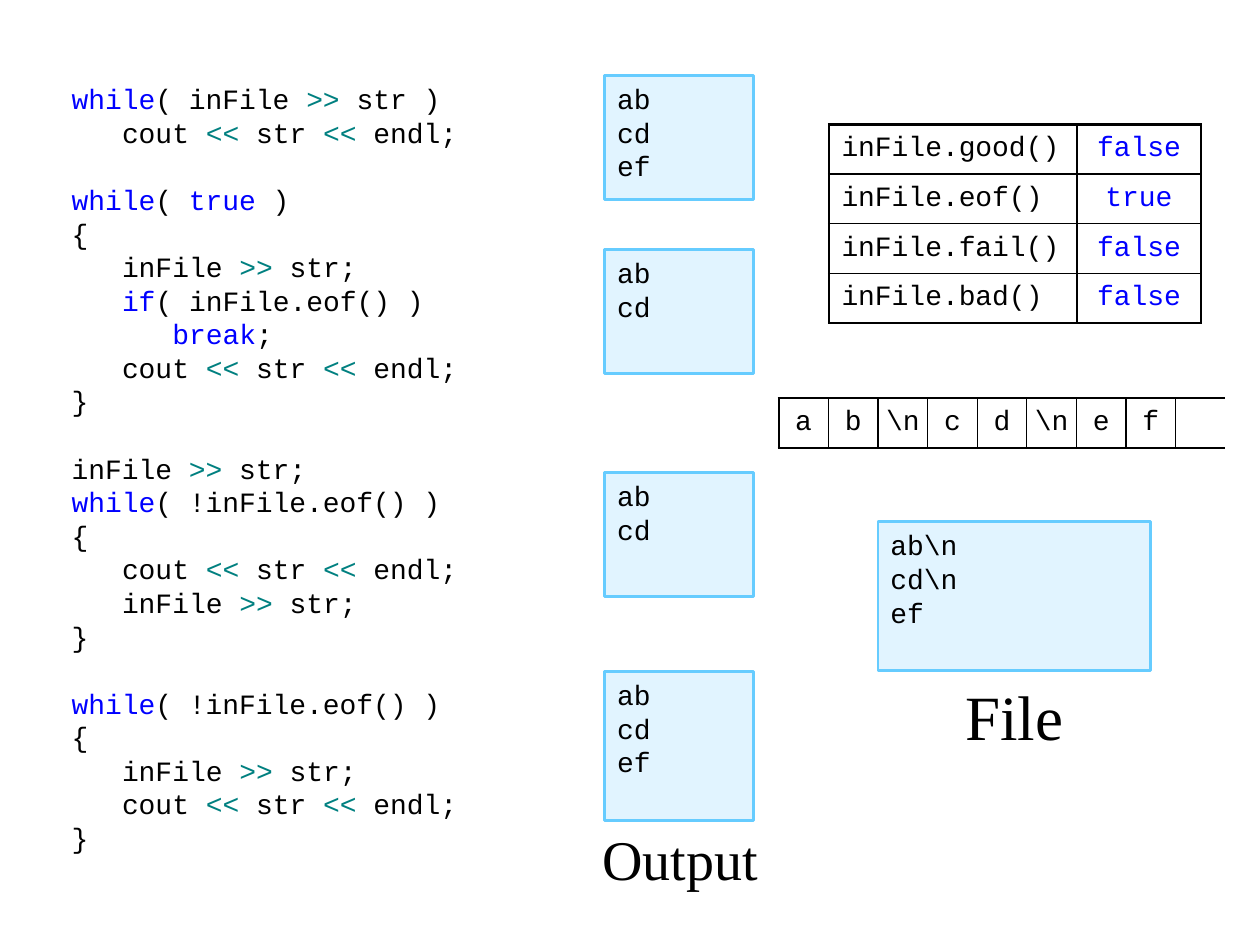
import pptx
import pptx.dml.color
import pptx.enum.shapes
import pptx.enum.text
import pptx.oxml
import pptx.oxml.ns
import pptx.util

Cm = pptx.util.Cm
Pt = pptx.util.Pt
PP_ALIGN = pptx.enum.text.PP_ALIGN
MSO_ANCHOR = pptx.enum.text.MSO_ANCHOR
COLORS = {"text": "000000", "keyword": "0000FF", "operator": "008080",
          "box": "E1F4FF", "box_line": "66CCFF"}
MONO, SERIF = "Courier New", "Times New Roman"
LINE = Pt(19.2)
INDENT = Pt(28.8)


def add_run(p, text, color="text", size=16, font=MONO):
    r = p.add_run()
    r.text = text
    r.font.name = font
    r.font.size = Pt(size)
    r.font.bold = False
    r.font.color.rgb = pptx.dml.color.RGBColor.from_string(COLORS[color])


def format_cell(cell, borders):
    cell.vertical_anchor = MSO_ANCHOR.MIDDLE
    cell.fill.background()
    tcPr = cell._tc.get_or_add_tcPr()
    for i, (side, width) in enumerate(zip("LRTB", borders)):
        fill = f'<a:solidFill><a:srgbClr val="{COLORS["text"]}"/></a:solidFill>' if width else "<a:noFill/>"
        tcPr.insert(i, pptx.oxml.parse_xml(
            f'<a:ln{side} {pptx.oxml.ns.nsdecls("a")} w="{Pt(width)}">{fill}</a:ln{side}>'))


prs = pptx.Presentation()
prs.slide_width, prs.slide_height = Cm(25.4), Cm(19.05)
s = prs.slides.add_slide(prs.slide_layouts[1])
title = s.shapes.title
title.element.getparent().remove(title.element)

blocks = [
    [(0, "`while`( inFile `>>` str )"),
     (1, "cout `<<` str `<<` endl;")],
    [(0, "`while`( `true` )"),
     (0, "{"),
     (1, "inFile `>>` str;"),
     (1, "`if`( inFile.eof() )"),
     (2, "`break`;"),
     (1, "cout `<<` str `<<` endl;"),
     (0, "}")],
    [(0, "inFile `>>` str;"),
     (0, "`while`( !inFile.eof() )"),
     (0, "{"),
     (1, "cout `<<` str `<<` endl;"),
     (1, "inFile `>>` str;"),
     (0, "}")],
    [(0, "`while`( !inFile.eof() )"),
     (0, "{"),
     (1, "inFile `>>` str;"),
     (1, "cout `<<` str `<<` endl;"),
     (0, "}")],
]
body = s.placeholders[1]
body.left, body.top, body.width, body.height = Cm(1.19), Cm(1.52), Cm(9.5), Cm(16)
tf = body.text_frame
tf.auto_size = pptx.enum.text.MSO_AUTO_SIZE.NONE
tf.vertical_anchor = MSO_ANCHOR.TOP
p = tf.paragraphs[0]
for b, block in enumerate(blocks):
    for n, (depth, line) in enumerate(block):
        if b or n:
            p = tf.add_paragraph()
        p.line_spacing = LINE
        p.space_before = LINE if b and n == 0 else Pt(0)
        p.space_after = Pt(0)
        pPr = p._p.get_or_add_pPr()
        pPr.set("marL", str(depth * INDENT))
        pPr.set("indent", "0")
        pPr.append(pptx.oxml.parse_xml(f'<a:buNone {pptx.oxml.ns.nsdecls("a")}/>'))
        for i, part in enumerate(line.split("`")):
            if part:
                color = "operator" if part in ("<<", ">>") else "keyword"
                add_run(p, part, color if i % 2 else "text")

boxes = [
    (12.19, 1.52, 3, 2.5, ["ab", "cd", "ef"]),
    (12.19, 5.03, 3, 2.5, ["ab", "cd"]),
    (12.19, 9.53, 3, 2.5, ["ab", "cd"]),
    (12.19, 13.54, 3, 3, ["ab", "cd", "ef"]),
    (17.7, 10.52, 5.5, 3, ["ab\\n", "cd\\n", "ef"]),
]
for x, y, w, h, lines in boxes:
    sp = s.shapes.add_shape(pptx.enum.shapes.MSO_SHAPE.RECTANGLE, Cm(x), Cm(y), Cm(w), Cm(h))
    sp.shadow.inherit = False
    sp.fill.solid()
    sp.fill.fore_color.rgb = pptx.dml.color.RGBColor.from_string(COLORS["box"])
    sp.line.color.rgb = pptx.dml.color.RGBColor.from_string(COLORS["box_line"])
    sp.line.width = Pt(1.5)
    tf = sp.text_frame
    tf.word_wrap = True
    tf.vertical_anchor = MSO_ANCHOR.TOP
    for i, line in enumerate(lines):
        p = tf.add_paragraph() if i else tf.paragraphs[0]
        p.alignment = PP_ALIGN.LEFT
        p.line_spacing = LINE
        add_run(p, line)

captions = [
    ("Output", 32, 11.71, 16.54, 4, 1.5, MSO_ANCHOR.MIDDLE),
    ("File", 36, 19.2, 13.54, 2.5, 2, MSO_ANCHOR.TOP),
]
for text, size, x, y, w, h, anchor in captions:
    tf = s.shapes.add_textbox(Cm(x), Cm(y), Cm(w), Cm(h)).text_frame
    tf.word_wrap = False
    tf.vertical_anchor = anchor
    p = tf.paragraphs[0]
    p.alignment = PP_ALIGN.CENTER
    add_run(p, text, size=size, font=SERIF)

states = [("inFile.good()", "false"), ("inFile.eof()", "true"),
          ("inFile.fail()", "false"), ("inFile.bad()", "false")]
table = s.shapes.add_table(4, 2, Cm(16.71), Cm(2.51), Cm(7.5), Cm(4)).table
table.first_row = table.horz_banding = False
table.columns[0].width, table.columns[1].width = Cm(5), Cm(2.5)
for i, state in enumerate(states):
    for j, text in enumerate(state):
        cell = table.cell(i, j)
        format_cell(cell, [1 if j else 1.5, 1.5 if j else 1,
                           1 if i else 1.5, 1.5 if i == 3 else 1])
        cell.margin_top = cell.margin_bottom = Cm(0.1)
        p = cell.text_frame.paragraphs[0]
        p.alignment = PP_ALIGN.CENTER if j else PP_ALIGN.LEFT
        add_run(p, text, "keyword" if j else "text")

chars = ["a", "b", "\\n", "c", "d", "\\n", "e", "f", ""]
strip = s.shapes.add_table(1, len(chars), Cm(15.7), Cm(8.03), Cm(len(chars)), Cm(1)).table
strip.first_row = strip.horz_banding = False
for j, char in enumerate(chars):
    cell = strip.cell(0, j)
    format_cell(cell, [0.75 if j else 1.5, 0.75 if char else 0, 1.5, 1.5])
    cell.margin_left = cell.margin_right = cell.margin_top = cell.margin_bottom = 0
    if char:
        p = cell.text_frame.paragraphs[0]
        p.alignment = PP_ALIGN.CENTER
        add_run(p, char)

prs.save("out.pptx")
